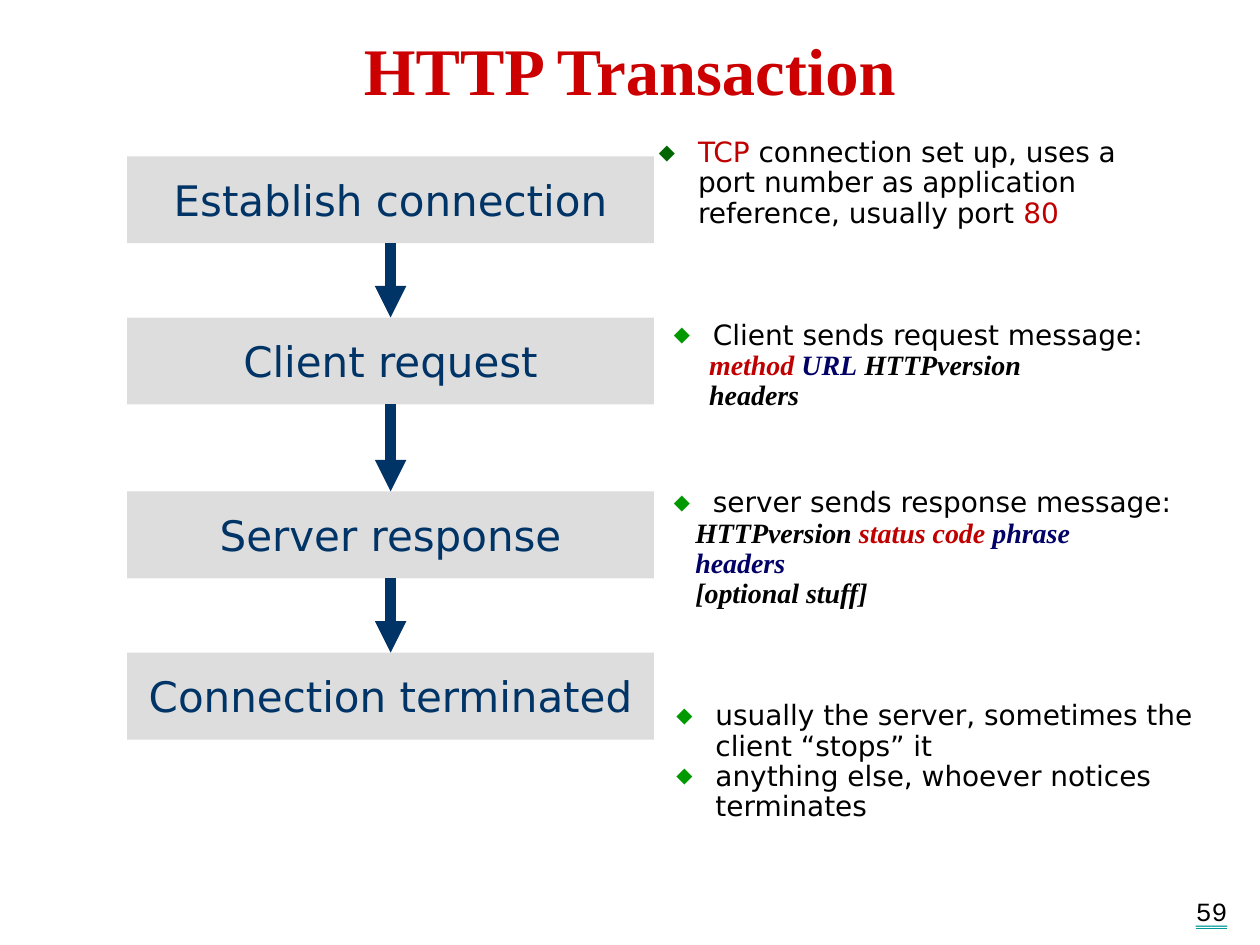
from dataclasses import dataclass

from lxml import etree
from pptx import Presentation
from pptx.dml.color import RGBColor
from pptx.enum.shapes import MSO_CONNECTOR, MSO_SHAPE
from pptx.enum.text import MSO_ANCHOR, MSO_AUTO_SIZE, PP_ALIGN
from pptx.oxml.ns import qn
from pptx.util import Inches, Pt

RECT = MSO_SHAPE.RECTANGLE
STRAIGHT = MSO_CONNECTOR.STRAIGHT
MIDDLE, TOP = MSO_ANCHOR.MIDDLE, MSO_ANCHOR.TOP
CENTER, RIGHT, LEFT = PP_ALIGN.CENTER, PP_ALIGN.RIGHT, PP_ALIGN.LEFT
FIXED = MSO_AUTO_SIZE.NONE
COLS, ROWS = 100, 75
BOTTOM_SIDE, TOP_SIDE = 2, 0


@dataclass(frozen=True)
class Theme:
    title: str = "CC0000"
    box: str = "DDDDDD"
    step: str = "003366"
    text: str = "000000"
    red: str = "C00000"
    navy: str = "000066"
    bullet: str = "009900"
    first_bullet: str = "006600"
    rule: str = "009999"
    sans: str = "DejaVu Sans"
    serif: str = "Times New Roman"
    mono: str = "Courier New"
    title_size: int = 38
    step_size: int = 24
    note_size: int = 16
    number_size: int = 15
    arrow_width: int = 6


T = Theme()


@dataclass(frozen=True)
class Line:
    runs: tuple
    indent: float = 0.81
    bullet: str = ""


@dataclass(frozen=True)
class Note:
    area: tuple
    lines: tuple


def bulleted(*runs, color=T.bullet):
    return Line(runs, bullet=color)


def syntax(indent, *runs):
    return Line(runs, indent=indent)


STEPS = (
    ("Establish connection", 12.4),
    ("Client request", 25.2),
    ("Server response", 39),
    ("Connection terminated", 51.8),
)

NOTES = (
    Note((46.3, 10.5, 47.9, 12.7), (
        bulleted(
            ("TCP", T.red),
            (" connection set up, uses a port number as application "
             "reference, usually port ", T.text),
            ("80", T.red),
            color=T.first_bullet,
        ),
    )),
    Note((47.5, 25, 52.5, 12.5), (
        bulleted(("Client sends request message:", T.text)),
        syntax(0.78, ("method ", T.red), ("URL", T.navy),
               (" HTTPversion", T.text)),
        syntax(0.78, ("headers", T.text)),
    )),
    Note((47.5, 38.3, 48.7, 12.5), (
        bulleted(("server sends response message:", T.text)),
        syntax(0.67, ("HTTPversion ", T.text), ("status code", T.red),
               (" phrase", T.navy)),
        syntax(0.67, ("headers", T.navy)),
        syntax(0.67, ("[optional stuff]", T.text)),
    )),
    Note((47.7, 55.2, 50.8, 10.7), (
        bulleted(("usually the server, sometimes the client “stops” it",
                  T.text)),
        bulleted(("anything else, whoever notices terminates", T.text)),
    )),
)


def place(prs, left, top, width, height):
    col, row = prs.slide_width / COLS, prs.slide_height / ROWS
    return (round(left * col), round(top * row),
            round(width * col), round(height * row))


def move(sp, area):
    sp.left, sp.top, sp.width, sp.height = area


def add_text(p, text, *, size, color, font=T.sans, bold=False,
             italic=False, underline=False, align=None):
    r = p.add_run()
    r.text = text
    f = r.font
    f.name, f.size = font, Pt(size)
    f.bold, f.italic, f.underline = bold, italic, underline
    f.color.rgb = RGBColor.from_string(color)
    if align is not None:
        p.alignment = align


def add_bullet(p, color: str) -> None:
    pPr = p._p.get_or_add_pPr()
    clr = etree.SubElement(pPr, qn("a:buClr"))
    etree.SubElement(clr, qn("a:srgbClr"), val=color)
    etree.SubElement(pPr, qn("a:buSzPct"), val="75000")
    etree.SubElement(pPr, qn("a:buFont"), typeface=T.sans)
    etree.SubElement(pPr, qn("a:buChar"), char="◆")


def draw_note(sp, note: Note) -> None:
    tf = sp.text_frame
    tf.word_wrap, tf.auto_size, tf.vertical_anchor = True, FIXED, TOP
    for i, line in enumerate(note.lines):
        p = tf.paragraphs[0] if i == 0 else tf.add_paragraph()
        p.level, p.line_spacing, p.alignment = 1, 0.9, LEFT
        p.space_before = Pt(0)
        pPr = p._p.get_or_add_pPr()
        pPr.set("marL", str(Inches(line.indent)))
        pPr.set("indent", str(Inches(-0.31) if line.bullet else 0))
        if line.bullet:
            add_bullet(p, line.bullet)
        else:
            etree.SubElement(pPr, qn("a:buNone"))
        code = not line.bullet
        for text, color in line.runs:
            add_text(p, text, size=T.note_size, color=color,
                     font=T.serif if code else T.sans,
                     bold=code, italic=code)


def draw_step(prs, slide, text: str, top: float):
    sp = slide.shapes.add_shape(RECT, *place(prs, 10.1, top, 41.8, 6.9))
    sp.shadow.inherit = False
    sp.fill.solid()
    sp.fill.fore_color.rgb = RGBColor.from_string(T.box)
    sp.line.fill.background()
    tf = sp.text_frame
    tf.word_wrap, tf.vertical_anchor = False, MIDDLE
    add_text(tf.paragraphs[0], text, size=T.step_size, color=T.step,
             align=CENTER)
    return sp


def draw_arrow(slide, upper, lower) -> None:
    x = upper.left + upper.width // 2
    line = slide.shapes.add_connector(
        STRAIGHT, x, upper.top + upper.height, x, lower.top)
    line.begin_connect(upper, BOTTOM_SIDE)
    line.end_connect(lower, TOP_SIDE)
    line.line.width = Pt(T.arrow_width)
    line.line.color.rgb = RGBColor.from_string(T.step)
    etree.SubElement(line.line._get_or_add_ln(), qn("a:tailEnd"),
                     type="triangle")
    etree.SubElement(line._element.spPr, qn("a:effectLst"))


def draw_number(prs, slide, text: str, top: float, color: str,
                underline: bool) -> None:
    sp = slide.shapes.add_textbox(*place(prs, 82.3, top, 16.1, 2.8))
    tf = sp.text_frame
    tf.word_wrap = True
    add_text(tf.paragraphs[0], text, size=T.number_size, color=color,
             font=T.mono, underline=underline, align=RIGHT)


def main():
    prs = Presentation()
    prs.slide_width, prs.slide_height = Inches(10), Inches(7.5)
    slide = prs.slides.add_slide(prs.slide_layouts[1])
    title, body = slide.placeholders

    draw_number(prs, slide, "59", 70.6, T.text, False)
    draw_number(prs, slide, "__", 70.8, T.rule, True)

    move(title, place(prs, 5, 1.7, 90, 7.5))
    tf = title.text_frame
    tf.auto_size, tf.vertical_anchor = FIXED, MIDDLE
    add_text(tf.paragraphs[0], "HTTP Transaction", size=T.title_size,
             color=T.title, font=T.serif, bold=True, align=CENTER)

    boxes = [draw_step(prs, slide, text, top) for text, top in STEPS]
    for upper, lower in zip(boxes, boxes[1:]):
        draw_arrow(slide, upper, lower)

    first, *others = NOTES
    move(body, place(prs, *first.area))
    draw_note(body, first)
    for note in others:
        draw_note(slide.shapes.add_textbox(*place(prs, *note.area)), note)

    prs.save("out.pptx")


if __name__ == "__main__":
    main()
